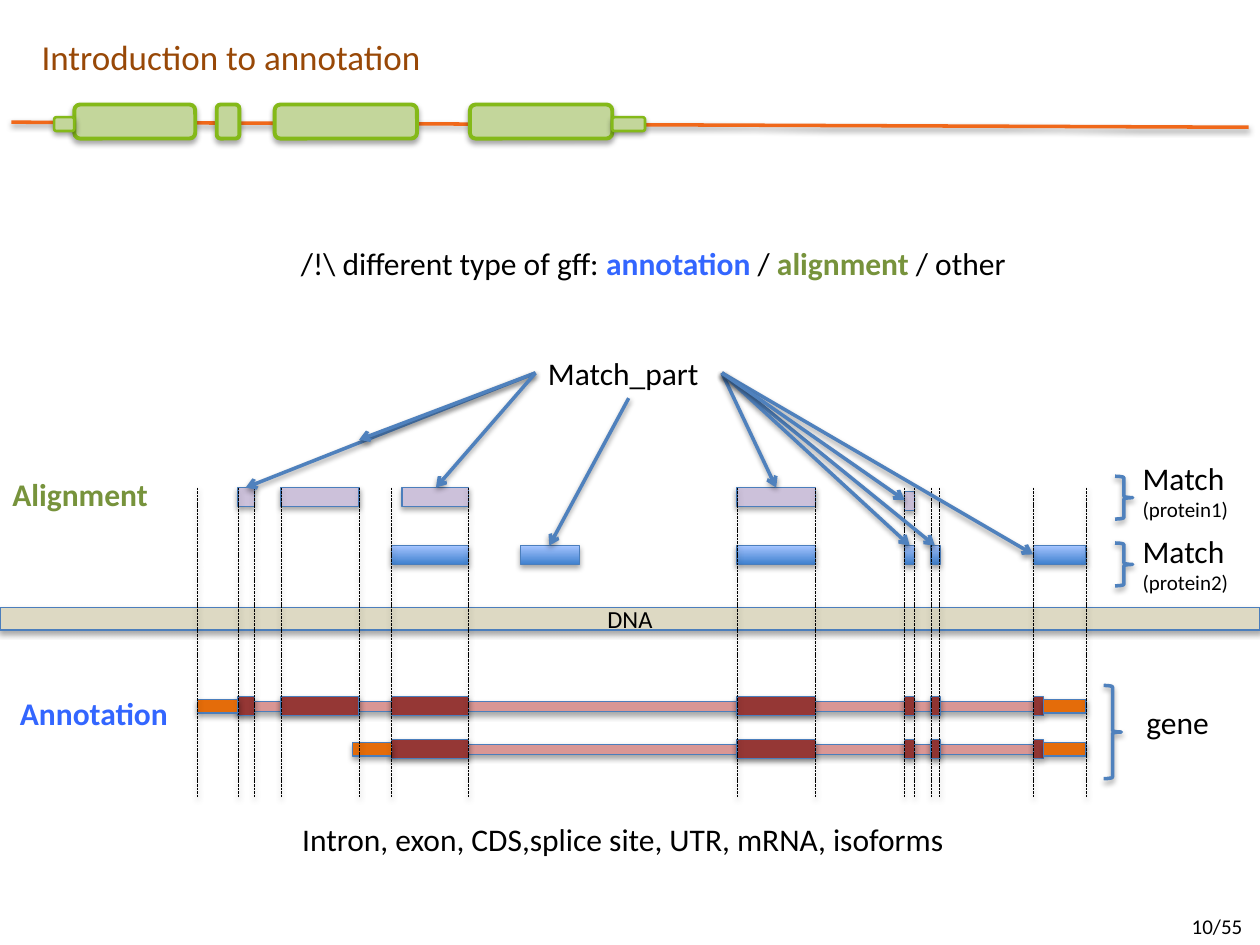
from dataclasses import dataclass

from lxml.etree import SubElement
from pptx import Presentation
from pptx.dml.color import RGBColor
from pptx.enum.dml import MSO_LINE
from pptx.enum.shapes import MSO_CONNECTOR, MSO_SHAPE
from pptx.enum.text import MSO_ANCHOR, MSO_AUTO_SIZE, PP_ALIGN
from pptx.oxml.ns import qn
from pptx.util import Inches, Pt

RECT, ROUND = MSO_SHAPE.RECTANGLE, MSO_SHAPE.ROUNDED_RECTANGLE
BRACE, STRAIGHT = MSO_SHAPE.RIGHT_BRACE, MSO_CONNECTOR.STRAIGHT
DASH = MSO_LINE.SQUARE_DOT
LEFT, CENTER = PP_ALIGN.LEFT, PP_ALIGN.CENTER
TOP, MIDDLE = MSO_ANCHOR.TOP, MSO_ANCHOR.MIDDLE
GROW, FIXED = MSO_AUTO_SIZE.SHAPE_TO_FIT_TEXT, MSO_AUTO_SIZE.NONE

# The slide is a grid of 100 columns by 75 rows of square cells.
COLS, ROWS, CELL = 100, 75, Inches(0.1)

# Columns where features start and end, shared by every track.
EDGES = [15.7, 18.9, 20.2, 22.3, 28.5, 31.1, 37.2, 58.5,
         64.7, 71.8, 72.6, 73.9, 74.6, 82, 86.2]
EXONS = list(zip(EDGES[1:13:2], EDGES[2:13:2]))
CODING_END = 82.8


@dataclass(frozen=True)
class Theme:
    font: str = "Calibri"
    head: int = 20
    body: int = 18
    label: int = 14
    small: int = 12
    ink: str = "000000"
    title: str = "984807"
    blue: str = "3366FF"
    green: str = "77933C"
    axis: str = "F0681A"
    leaf: str = "C3D69B"
    rim: str = "84B919"
    edge: str = "4B7EBC"
    arrow: str = "4F81BD"
    dna: str = "DDD9C3"
    intron: str = "D99694"
    exon: str = "953735"
    utr: str = "E46C0A"
    first: str = "CCC1DA"
    second: tuple = ("3F80CE", "A4C4FF")


THEME = Theme()


@dataclass(frozen=True)
class Box:
    left: float
    top: float
    width: float
    height: float

    def spot(self, col, row):
        return round((self.left + col) * CELL), round((self.top + row) * CELL)

    def inner(self, col, row, wide, high):
        return Box(self.left + col, self.top + row, wide, high)

    def frame(self):
        return *self.spot(0, 0), round(self.width * CELL), round(self.height * CELL)


def rgb(code):
    return RGBColor.from_string(code)


def shade(item, alpha=35, drop=23000):
    """Give the item a soft shadow below; call after fill and line are set."""
    effects = SubElement(item.element.spPr, qn("a:effectLst"))
    cast = SubElement(effects, qn("a:outerShdw"), blurRad="40000",
                      dist=str(drop), dir="5400000", rotWithShape="0")
    tone = SubElement(cast, qn("a:srgbClr"), val=THEME.ink)
    SubElement(tone, qn("a:alpha"), val=str(alpha * 1000))


def write(frame, text, size=THEME.body, color=THEME.ink, bold=False,
          align=LEFT, fresh=False):
    """Add a run to the last paragraph, or to a fresh one."""
    para = frame.add_paragraph() if fresh else frame.paragraphs[-1]
    para.alignment = align
    run = para.add_run()
    run.text = text
    font = run.font
    font.name, font.size, font.bold = THEME.font, Pt(size), bold
    font.color.rgb = rgb(color)


def note(area, box, text="", fit=GROW, **look):
    frame = area.add_textbox(*box.frame()).text_frame
    frame.word_wrap = True
    frame.auto_size = fit
    if text:
        write(frame, text, **look)
    return frame


def block(area, box, fill, kind=RECT, line=THEME.edge, weight=0.75):
    item = area.add_shape(kind, *box.frame())
    if fill is None:
        item.fill.background()
    elif isinstance(fill, tuple):
        item.fill.gradient()
        item.fill.gradient_angle = 90
        for stop, code in zip(item.fill.gradient_stops, fill):
            stop.color.rgb = rgb(code)
    else:
        item.fill.solid()
        item.fill.fore_color.rgb = rgb(fill)
    item.line.color.rgb = rgb(line)
    item.line.width = Pt(weight)
    shade(item)
    return item


def stroke(area, start, end, color, weight=2, dash=None, arrow=False):
    item = area.add_connector(STRAIGHT, *start, *end)
    item.line.color.rgb = rgb(color)
    item.line.width = Pt(weight)
    if dash is not None:
        item.line.dash_style = dash
    if arrow:
        SubElement(item.element.spPr.find(qn("a:ln")), qn("a:tailEnd"), type="arrow")
    shade(item, alpha=38, drop=20000)


def header(slide, box):
    """Title over a gene model that serves as a rule."""
    stroke(slide.shapes, box.spot(0.9, 9.7), box.spot(99.1, 10.1), THEME.axis)
    for col, wide in ((5.9, 9.6), (17.2, 1.8), (21.8, 11.3), (37.3, 11.3)):
        block(slide.shapes, box.inner(col, 8.3, wide, 2.7), THEME.leaf, ROUND, THEME.rim, 2.25)
    for col, wide in ((48.6, 2.6), (4.3, 1.6)):
        block(slide.shapes, box.inner(col, 9.3, wide, 1.1), THEME.leaf, ROUND, THEME.rim, 1.5)
    title = slide.shapes.title
    title.left, title.top, title.width, title.height = box.inner(2.3, 2.3, 32.5, 4.4).frame()
    frame = title.text_frame
    frame.word_wrap, frame.auto_size = False, FIXED
    frame.vertical_anchor = TOP
    write(frame, "Introduction to annotation", size=THEME.head, color=THEME.title)


def lead(area, box):
    frame = note(area, box)
    for text, color, bold in (("/!\\ different type of gff: ", THEME.ink, False),
                              ("annotation ", THEME.blue, True),
                              ("/ ", THEME.ink, False),
                              ("alignment ", THEME.green, True),
                              ("/ other", THEME.ink, False)):
        write(frame, text, color=color, bold=bold, align=CENTER)


def strand(area, box):
    frame = block(area, box, THEME.dna).text_frame
    frame.vertical_anchor = MIDDLE
    write(frame, "DNA", size=THEME.label, align=CENTER)


def isoform(area, box, start, coding, exons):
    """One transcript: introns, exons and an untranslated end on each side."""
    group = area.add_group_shape().shapes
    block(group, box.inner(coding, 0.4, EDGES[13] - coding, 0.8), THEME.intron)
    for left, right in exons + [(EDGES[13], CODING_END)]:
        block(group, box.inner(left, 0, right - left, 1.5), THEME.exon)
    for left, right in ((start, coding), (CODING_END, EDGES[14])):
        block(group, box.inner(left, 0.2, right - left, 1.1), THEME.utr)


def hits(area, box, spans, fill):
    """One aligned protein; spans hold left, right and downward shift."""
    group = area.add_group_shape().shapes
    for left, right, shift in spans:
        block(group, box.inner(left, shift, right - left, box.height), fill)


def guides(area, box):
    group = area.add_group_shape().shapes
    for col in EDGES:
        stroke(group, box.spot(col, 0), box.spot(col, box.height), THEME.ink, 0.5, DASH)


def labels(area, box):
    """Row names at left, braces and their names at right."""
    note(area, box.inner(0.6, 15.9, 13.8, 4), "Annotation", color=THEME.blue, bold=True)
    note(area, box.inner(0, -1.5, 13.8, 4), "Alignment", color=THEME.green, bold=True)
    for row, high, col in ((15.7, 7.4, 87.6), (-0.9, 3.4, 88.5), (4.4, 3.4, 88.5)):
        block(area, box.inner(col, row, 1.4, high), None, BRACE, THEME.arrow, 2)
    note(area, box.inner(90, 16.6, 7, 4), "gene")
    for name, row in (("(protein1)", -2.8), ("(protein2)", 3)):
        frame = note(area, box.inner(89.7, row, 11.7, 6.1), "Match")
        write(frame, name, size=THEME.small, fresh=True)


def pointers(area, box):
    """Match_part with arrows fanning out to the aligned blocks."""
    note(area, box.inner(42.5, 0, 14.8, 4), "Match_part")
    fans = {(42.5, 2): [(19.5, 11.1), (28.5, 7.3), (34.6, 11.1)],
            (49.9, 4): [(43.6, 15.7)],
            (57.3, 2): [(74.2, 15.7), (61.6, 11.1), (72.2, 15.7), (82, 16.4), (71.8, 12.1)]}
    for start, ends in fans.items():
        for end in ends:
            stroke(area, box.spot(*start), box.spot(*end), THEME.arrow, arrow=True)


def diagram(area, box):
    strand(area, box.inner(0, 9.5, COLS, 1.8))
    isoform(area, box.inner(0, 16.6, COLS, 1.5), EDGES[0], EDGES[1], EXONS)
    isoform(area, box.inner(0, 20, COLS, 1.5), 28, EDGES[5], EXONS[2:])
    first = [(*EXONS[0], 0), (*EXONS[1], 0), (31.9, EDGES[6], 0),
             (*EXONS[3], 0), (*EXONS[4], 0.3)]
    second = [(*span, 0) for span in EXONS[2:] + [(41.3, 46), (EDGES[13], EDGES[14])]]
    hits(area, box.inner(0, 0, COLS, 1.5), first, THEME.first)
    hits(area, box.inner(0, 4.6, COLS, 1.5), second, THEME.second)
    guides(area, box)
    labels(area, box)
    pointers(area, box.inner(0, -11.1, COLS, 15))


def main():
    deck = Presentation()
    deck.slide_width, deck.slide_height = COLS * CELL, ROWS * CELL
    slide = deck.slides.add_slide(deck.slide_layouts[5])
    area = slide.shapes
    header(slide, Box(0, 0, COLS, 12))
    lead(area, Box(17.5, 18.9, 68.7, 4))
    diagram(area, Box(0, 38.7, COLS, 24.6))
    note(area, Box(23, 64.6, 53.8, 4), "Intron, exon, CDS,splice site, UTR, mRNA, isoforms")
    note(area, Box(93.6, 72, 6.4, 3), "10/55", fit=FIXED, size=THEME.small)
    deck.save("out.pptx")


if __name__ == "__main__":
    main()
